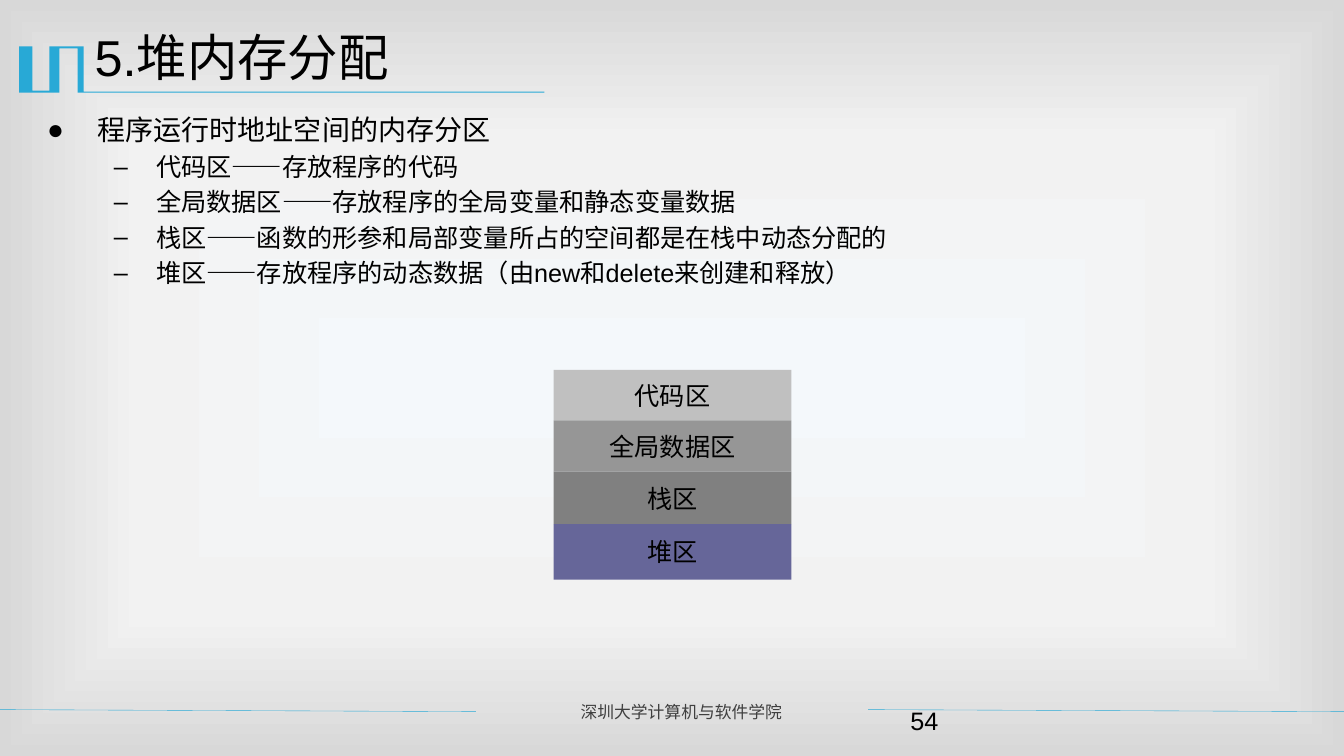
from lxml import etree
from pptx import Presentation
from pptx.dml.color import RGBColor
from pptx.enum.shapes import MSO_CONNECTOR as Connector, MSO_SHAPE as Shape
from pptx.enum.text import MSO_ANCHOR as Anchor, PP_ALIGN as Align
from pptx.oxml.ns import qn
from pptx.util import Inches, Pt

COLORS = {
    "accent": "28A9D6", "text": "000000", "footer": "3F3F3F",
    "center": "F4F8FB", "middle": "F2F2F2", "edge": "D8D8D8",
    "code": "C0C0C0", "global": "969696", "stack": "808080", "heap": "666699",
}
FONT = "Arial"
EMBLEM_HUNDREDTHS = [
    (63, 0), (64, 0), (64, 45), (521, 45), (521, 46),
    (58, 46), (58, 2), (40, 2), (40, 46), (0, 46),
    (0, 0), (13, 0), (13, 44), (30, 44), (30, 0),
]
HEADING = "程序运行时地址空间的内存分区"
ITEMS = [
    "代码区——存放程序的代码",
    "全局数据区——存放程序的全局变量和静态变量数据",
    "栈区——函数的形参和局部变量所占的空间都是在栈中动态分配的",
    "堆区——存放程序的动态数据（由new和delete来创建和释放）",
]
REGIONS = [
    ("代码区", "code", 0.5), ("全局数据区", "global", 0.51),
    ("栈区", "stack", 0.52), ("堆区", "heap", 0.55),
]


def color(name):
    return RGBColor.from_string(COLORS[name])


def write(para, text, size, tone="text"):
    para.text = text
    para.font.size = Pt(size)
    para.font.name = FONT
    para.font.color.rgb = color(tone)


def add_text_frame(page, left, top, width, height):
    box = page.shapes.add_textbox(*map(Inches, (left, top, width, height)))
    box.text_frame.word_wrap = True
    return box.text_frame


def set_bullet(para, symbol, margin, indent):
    properties = para._p.get_or_add_pPr()
    properties.set("marL", str(Inches(margin)))
    properties.set("indent", str(Inches(indent)))
    etree.SubElement(properties, qn("a:buFont"), typeface=FONT)
    etree.SubElement(properties, qn("a:buChar"), char=symbol)


def add_background(page):
    page.background.fill.gradient()
    gradient = page.element.find(".//" + qn("a:gradFill"))
    for child in list(gradient):
        gradient.remove(child)
    stops = etree.SubElement(gradient, qn("a:gsLst"))
    for position, name in ((0, "center"), (63, "middle"), (100, "edge")):
        stop = etree.SubElement(stops, qn("a:gs"), pos=str(position * 1000))
        etree.SubElement(stop, qn("a:srgbClr"), val=COLORS[name])
    shade = etree.SubElement(gradient, qn("a:path"), path="rect")
    sides = dict.fromkeys("ltrb", "50000")
    etree.SubElement(shade, qn("a:fillToRect"), **sides)


def add_emblem(page, left, top):
    start, *corners = EMBLEM_HUNDREDTHS
    builder = page.shapes.build_freeform(*start, scale=Inches(0.01))
    builder.add_line_segments(corners, close=True)
    emblem = builder.convert_to_shape(Inches(left), Inches(top))
    emblem.shadow.inherit = False
    emblem.fill.solid()
    emblem.fill.fore_color.rgb = color("accent")
    emblem.line.fill.background()


def add_title(page, left, top, width, height):
    frame = add_text_frame(page, left, top, width, height)
    write(frame.paragraphs[0], "5.堆内存分配", 36)


def add_body(page, left, top, width, height):
    frame = add_text_frame(page, left, top, width, height)
    heading = frame.paragraphs[0]
    set_bullet(heading, "●", 0.5, -0.5)
    write(heading, HEADING, 20)
    for item in ITEMS:
        para = frame.add_paragraph()
        set_bullet(para, "–", 1.08, -0.42)
        para.space_before = Pt(3.6)
        write(para, item, 18)


def add_memory_regions(page, left, top, width):
    for label, tone, height in REGIONS:
        box = page.shapes.add_shape(
            Shape.RECTANGLE, *map(Inches, (left, top, width, height)))
        box.shadow.inherit = False
        box.fill.solid()
        box.fill.fore_color.rgb = color(tone)
        box.line.fill.background()
        box.text_frame.vertical_anchor = Anchor.MIDDLE
        para = box.text_frame.paragraphs[0]
        para.alignment = Align.CENTER
        write(para, label, 18)
        top += height


def add_footer(page, top):
    for left in (-0.01, 8.61):
        rule = page.shapes.add_connector(
            Connector.STRAIGHT,
            *map(Inches, (left, top + 0.13, left + 4.73, top + 0.15)))
        rule.line.color.rgb = color("accent")
        rule.line.width = Pt(0.25)
        etree.SubElement(rule._element.spPr, qn("a:effectLst"))
    school = add_text_frame(page, 5.66, top, 2.85, 0.3).paragraphs[0]
    school.alignment = Align.JUSTIFY
    write(school, "深圳大学计算机与软件学院", 12, "footer")
    number = add_text_frame(page, 8.93, top + 0.04, 2.57, 0.4)
    write(number.paragraphs[0], "54", 18)


def main():
    deck = Presentation()
    deck.slide_width = Inches(13.33)
    deck.slide_height = Inches(7.5)
    page = deck.slides.add_slide(deck.slide_layouts[6])
    add_background(page)
    add_emblem(page, 0.19, 0.46)
    add_footer(page, 6.91)
    add_body(page, 0.37, 1.07, 9.22, 5.31)
    add_title(page, 0.84, 0.21, 9, 0.95)
    add_memory_regions(page, 5.49, 3.67, 2.36)
    deck.save("out.pptx")


if __name__ == "__main__":
    main()
